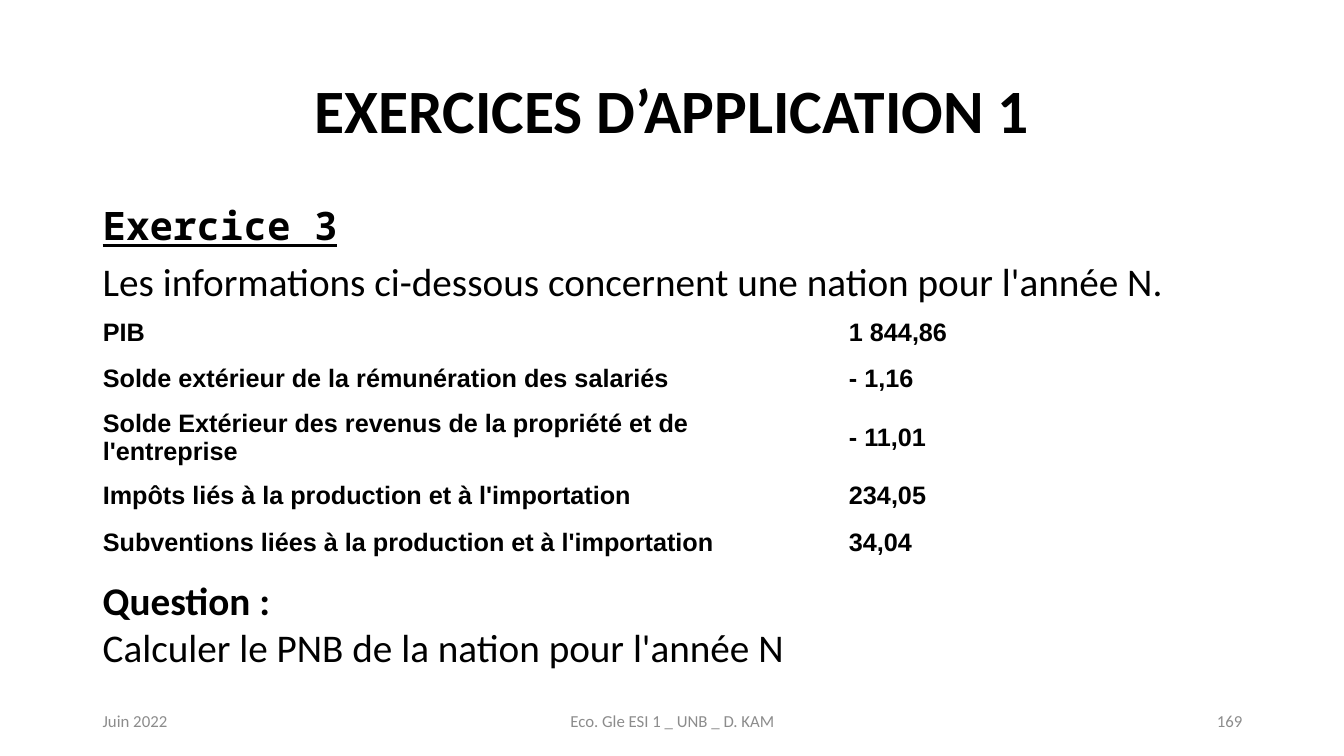
from pptx import Presentation
from pptx.dml.color import RGBColor
from pptx.enum import text
from pptx.util import Inches, Pt

BLACK = RGBColor(0, 0, 0)
GREY = RGBColor(0x8C, 0x8C, 0x8C)
WHITE = RGBColor(255, 255, 255)
LEFT, CENTER, RIGHT, JUSTIFY = (
    text.PP_ALIGN.LEFT, text.PP_ALIGN.CENTER, text.PP_ALIGN.RIGHT, text.PP_ALIGN.JUSTIFY)
TOP, MIDDLE = text.MSO_ANCHOR.TOP, text.MSO_ANCHOR.MIDDLE

MARGIN = 0.92
FOOTER_TOP = 6.95
AGGREGATES = [
    ("PIB", "1\u00a0844,86"),
    ("Solde extérieur de la rémunération des salariés", "- 1,16"),
    ("Solde Extérieur des revenus de la propriété et de l'entreprise", "- 11,01"),
    ("Impôts liés à la production et à l'importation", "234,05"),
    ("Subventions liées à la production et à l'importation", "34,04"),
]


class ExerciseSlide:
    font = "Calibri"
    table_font = "Arial"

    def __init__(self, prs):
        self.s = prs.slides.add_slide(prs.slide_layouts[6])

    def style(self, p, size, color=BLACK, bold=False, font=None):
        for r in p.runs:
            r.font.name = font or self.font
            r.font.size = Pt(size)
            r.font.bold = bold
            r.font.color.rgb = color

    def text(self, x, y, w, h, content, size, color=BLACK, bold=False,
             align=LEFT, anchor=TOP, spacing=None):
        tf = self.s.shapes.add_textbox(Inches(x), Inches(y), Inches(w), Inches(h)).text_frame
        tf.word_wrap = True
        tf.vertical_anchor = anchor
        tf.text = content
        for p in tf.paragraphs:
            p.alignment = align
            p.line_spacing = spacing
            self.style(p, size, color, bold)
        return tf

    def table(self, x, y, widths, row_height, rows, size):
        table = self.s.shapes.add_table(
            len(rows), len(widths), Inches(x), Inches(y),
            Inches(sum(widths)), Inches(row_height * len(rows))).table
        table.first_row = table.horz_banding = False
        for column, width in zip(table.columns, widths):
            column.width = Inches(width)
        for i, row in enumerate(rows):
            for j, value in enumerate(row):
                cell = table.cell(i, j)
                cell.text = value
                cell.vertical_anchor = MIDDLE
                cell.fill.solid()
                cell.fill.fore_color.rgb = WHITE
                self.style(cell.text_frame.paragraphs[0], size, bold=True, font=self.table_font)


def main():
    prs = Presentation()
    prs.slide_width, prs.slide_height = Inches(13.33), Inches(7.5)
    slide = ExerciseSlide(prs)

    slide.text(MARGIN, 0.4, 11.5, 1.45, "EXERCICES D’APPLICATION 1", 44,
               bold=True, align=CENTER, anchor=MIDDLE, spacing=0.9)

    tf = slide.text(MARGIN, 2, 11.5, 4.76,
                    "Exercice 3\nLes informations ci-dessous concernent une nation pour l'année N.",
                    28, align=JUSTIFY, spacing=0.9)
    heading, intro = tf.paragraphs
    slide.style(heading, 28, bold=True, font="Noto Sans Mono")
    heading.runs[0].font.underline = True
    intro.space_before = Pt(10)

    slide.table(MARGIN, 3.07, (7.4, 3.25), 0.46, AGGREGATES, 18)

    tf = slide.text(MARGIN, 5.67, 10.65, 1.04,
                    "Question :\nCalculer le PNB de la nation pour l'année N", 28)
    slide.style(tf.paragraphs[0], 28, bold=True)

    for x, w, content, align in (
            (MARGIN, 3, "Juin 2022", LEFT),
            (4.42, 4.5, "Eco. Gle ESI 1 _ UNB _ D. KAM", CENTER),
            (9.42, 3, "169", RIGHT)):
        slide.text(x, FOOTER_TOP, w, 0.4, content, 12, GREY, align=align, anchor=MIDDLE)

    prs.save("out.pptx")


if __name__ == "__main__":
    main()
